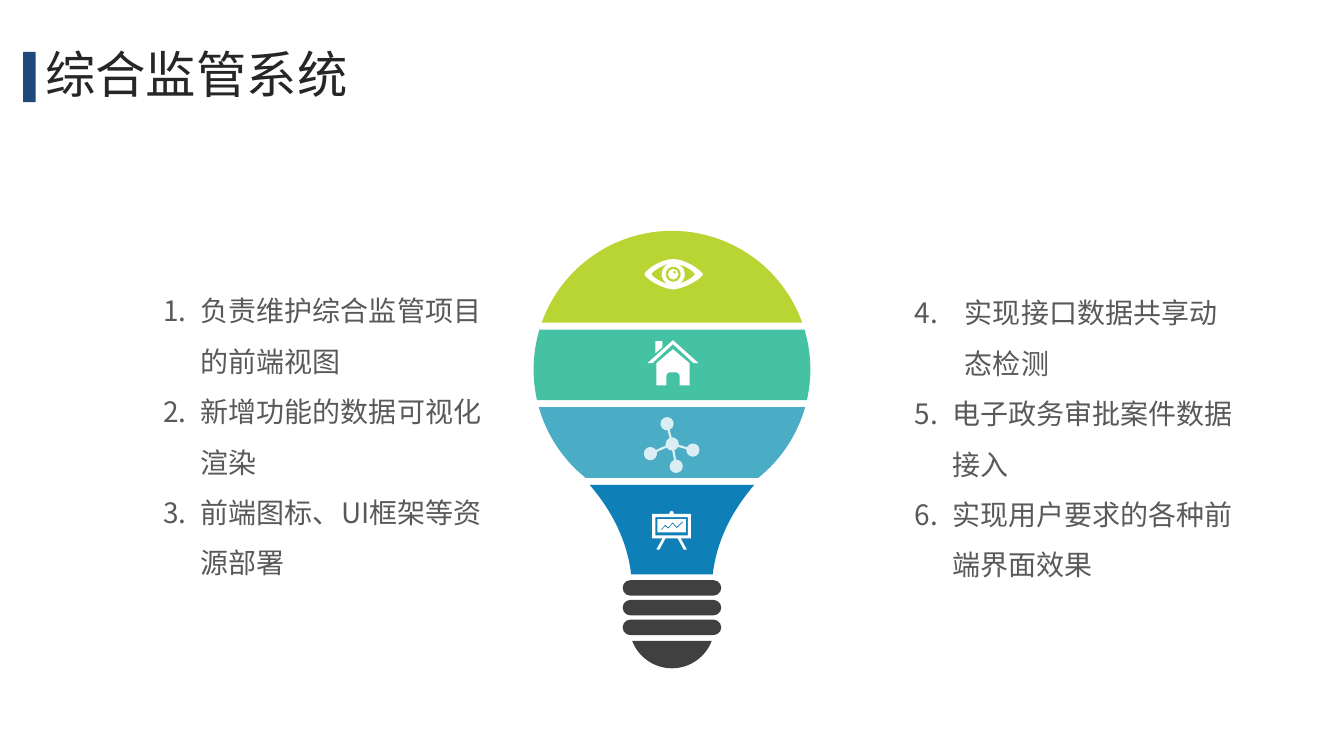
from dataclasses import dataclass
from math import asin, atan2, ceil, cos, floor, pi, sin, tan

from lxml.etree import SubElement
from pptx import Presentation
from pptx.dml.color import RGBColor
from pptx.enum.shapes import MSO_SHAPE as Preset
from pptx.enum.text import MSO_ANCHOR as Anchor
from pptx.oxml.ns import qn
from pptx.util import Inches, Pt

FONT = "Noto Sans CJK SC"
WHITE, NAVY, CHARCOAL, ICE = "FFFFFF", "1F497D", "404040", "DBEEF4"
LIME, MINT, SKY, BLUE = "B9D533", "45C1A4", "4BACC6", "0E7FB7"
LEFT_DUTIES = ["负责维护综合监管项目的前端视图", "新增功能的数据可视化渲染", "前端图标、UI框架等资源部署"]
RIGHT_DUTIES = ["实现接口数据共享动态检测", "电子政务审批案件数据接入", "实现用户要求的各种前端界面效果"]


@dataclass
class Box:
    """An area in inches, divided into columns and rows."""
    left: float
    top: float
    width: float
    height: float
    cols: float = 1
    rows: float = 1

    def point(self, col, row):
        """Return the slide position of a grid point."""
        return (Inches(self.left + self.width * col / self.cols),
                Inches(self.top + self.height * row / self.rows))

    def span(self, cols, rows):
        """Return the size of a number of columns and rows."""
        return Inches(self.width * cols / self.cols), Inches(self.height * rows / self.rows)

    def inner(self, col, row, width, height, cols, rows):
        """Return a part of this box with a grid of its own."""
        x, y = self.point(col, row)
        w, h = self.span(width, height)
        return Box(x.inches, y.inches, w.inches, h.inches, cols, rows)


def rgb(color):
    """Turn a hex string into a colour."""
    return RGBColor.from_string(color)


def paint(shape, color):
    """Give a shape a flat fill."""
    shape.shadow.inherit = False
    shape.fill.solid()
    shape.fill.fore_color.rgb = rgb(color)
    shape.line.fill.background()
    return shape


def block(slide, box, area, color, preset=Preset.RECTANGLE):
    """Place a preset shape on the grid of a box."""
    return paint(slide.shapes.add_shape(preset, *box.point(*area[:2]), *box.span(*area[2:])), color)


def outline(slide, box, color, *contours):
    """Draw contours whose steps are points, or triples of points for curves."""
    builder, bends = None, []
    for start, *steps in contours:
        if builder:
            builder.move_to(*box.point(*start))
        else:
            builder = slide.shapes.build_freeform(*box.point(*start), scale=1.0)
        for step in steps:
            bent = isinstance(step[0], tuple)
            points = step if bent else [step]
            builder.add_line_segments([box.point(*point) for point in points], close=False)
            bends += [bent, None, None] if bent else [False]
        builder.add_line_segments([box.point(*start)], close=True)
        bends.append(False)
    shape = paint(builder.convert_to_shape(), color)
    segments = list(shape._element.iter(qn("a:lnTo")))
    for i, bent in enumerate(bends):
        if bent:
            segments[i].tag = qn("a:cubicBezTo")
            for extra in segments[i + 1:i + 3]:
                segments[i].append(extra[0])
                extra.getparent().remove(extra)
    return shape


def mirror(points, axis):
    """Reflect points across a column, in reverse order."""
    return [(2 * axis - col, row) for col, row in reversed(points)]


def arc(center, radius, start, end):
    """Trace part of a circle, split at its extreme points."""
    def spot(angle, slope=0.0):
        return (center[0] + radius * (cos(angle) - slope * sin(angle)),
                center[1] + radius * (sin(angle) + slope * cos(angle)))
    quarter = pi / 2
    splits = [i * quarter for i in range(ceil(start / quarter), floor(end / quarter) + 1)]
    angles = [start] + [a for a in splits if start + 0.01 < a < end - 0.01] + [end]
    steps = [spot(start)]
    for a, b in zip(angles, angles[1:]):
        pull = 4 / 3 * tan((b - a) / 4)
        steps.append((spot(a, pull), spot(b, -pull), spot(b)))
    return steps


def circle(center, radius):
    """Trace a whole circle."""
    return arc(center, radius, 0, 2 * pi)


def rectangle(left, top, right, bottom):
    """Trace a rectangle."""
    return [(left, top), (right, top), (right, bottom), (left, bottom)]


def circle_slice(slide, box, center, radius, top, bottom, color):
    """Draw the part of a circle between two rows."""
    start, end = (asin(max(-1, min(1, (row - center[1]) / radius))) for row in (top, bottom))
    outline(slide, box, color, arc(center, radius, start, end) + arc(center, radius, pi - end, pi - start))


def write(slide, box, lines, size, color, spacing, before=0, indents=None, start=1, anchor=Anchor.TOP):
    """Write paragraphs, numbered when indents are given."""
    frame = slide.shapes.add_textbox(*box.point(0, 0), *box.span(box.cols, box.rows)).text_frame
    frame.word_wrap = True
    frame.vertical_anchor = anchor
    for i, line in enumerate(lines):
        paragraph = frame.add_paragraph() if i else frame.paragraphs[0]
        paragraph.line_spacing = spacing
        paragraph.space_before = Pt(before)
        run = paragraph.add_run()
        run.text = line
        run.font.size, run.font.name = Pt(size), FONT
        run.font.color.rgb = rgb(color)
        SubElement(run.font._element, qn("a:ea"), typeface=FONT)
        if indents:
            layout = paragraph._p.get_or_add_pPr()
            layout.set("marL", str(Pt(indents[i])))
            layout.set("indent", str(-Pt(indents[i])))
            SubElement(layout, qn("a:buFont"), typeface="+mj-lt")
            SubElement(layout, qn("a:buAutoNum"), type="arabicPeriod", startAt=str(start))


def header(slide, box):
    """Place the title and its bar."""
    write(slide, box.inner(12, 0, 1266, 79, 1, 1), ["综合监管系统"], 36, "262626", 0.9,
          before=10, anchor=Anchor.MIDDLE)
    block(slide, box, (0, 14.5, 12.5, 50), NAVY)


def duties(slide, box, lines, indents, start):
    """Place a numbered list of duties."""
    write(slide, box, lines, 20, "595959", 1.5, indents=indents, start=start)


def eye(slide, box):
    """Draw the eye."""
    lids = [(28.5, 0), ((41, 0), (56, 11), (58, 15)), ((57, 19), (41, 29), (28.5, 30)),
            ((15, 29), (0, 18), (0, 15)), ((0, 12), (15, 0), (28.5, 0))]
    left = [(26, 4), ((17, 6), (7, 13), (7, 15)), ((7, 17), (15, 22), (23, 25)),
            ((20, 23), (17, 19), (17, 15)), ((17, 10), (21, 5), (26, 4))]
    right = [(32, 5), ((37, 6), (40, 10), (40, 15)), ((40, 19), (38, 22), (35, 24)),
             ((42, 22), (50, 17), (50, 15)), ((49, 12), (40, 6), (32, 5))]
    rings = [circle((28.5, 15), 7.5), circle((28.5, 15), 5.2), circle((30, 13), 1.7)]
    outline(slide, box, WHITE, lids, left, right, *rings)


def house(slide, box):
    """Draw the house."""
    slope = [(0, 23), (25.5, 0), (25.5, 4), (5, 23)]
    chimney = [(8, 1), (15, 1), (15, 7), (8, 13)]
    wall = [(25.5, 9), (9, 23), (9, 45), (19, 45), (19, 35), (20, 33), (22, 32)]
    outline(slide, box, WHITE, wall + mirror(wall, 25.5), chimney, slope, mirror(slope, 25.5))


def network(slide, box):
    """Draw the linked nodes as one outline."""
    hub, radius, gap = (28, 26.5), 6.5, 0.17
    nodes = [(atan2(row - hub[1], col - hub[0]), (col, row))
             for col, row in ((23, 6.5), (48.5, 32.5), (32, 48.5), (6.5, 36))]
    nodes.sort()
    turns = [angle for angle, _ in nodes[1:]] + [nodes[0][0] + 2 * pi]
    trace = []
    for (angle, node), turn in zip(nodes, turns):
        trace += arc(node, radius, angle + pi + gap, angle + 3 * pi - gap)
        trace += arc(hub, radius, angle + gap, turn - gap)
    outline(slide, box, ICE, trace)


def chart_board(slide, box):
    """Draw the chart on its easel."""
    half = [(19, 0), (17, 1), (17, 3), (0, 3), (0, 27), (10, 27), (4, 38), (7, 38), (13, 27), (19, 27)]
    trend = [(9, 18), (12.5, 13.5), (16, 16), (20, 11), (24, 15.5), (30, 10)]
    ribbon = trend + [(col, row + 1.5) for col, row in reversed(trend)]
    outline(slide, box, WHITE, half + mirror(half, 19), rectangle(3, 6, 35, 24),
            rectangle(5, 8, 33, 21), ribbon)


def bulb(slide, box):
    """Draw the banded bulb with its icons."""
    middle = box.cols / 2
    for top, bottom, color in ((0, 13, LIME), (14, 24, MINT), (25, 35, SKY)):
        circle_slice(slide, box, (middle, 19.65), 19.65, top, bottom, color)
    neck = [(middle - 11.7, 36), (middle - 7.2, 41.2), (middle - 6.1, 46), (middle - 5.8, 48.7)]
    outline(slide, box, BLUE, *[[side[0], tuple(side[1:]), back[0], tuple(back[1:])]
                                for side, back in [(neck, mirror(neck, middle))]])
    for i in range(3):
        thread = block(slide, box, (middle - 7, 49.5 + 2.8 * i, 14, 2.2), CHARCOAL, Preset.ROUNDED_RECTANGLE)
        thread.adjustments[0] = 0.5
    circle_slice(slide, box, (middle, 55.95), 6.05, 58.1, 62, CHARCOAL)
    eye(slide, box.inner(15.7, 4, 8.3, 4.3, 58, 30))
    house(slide, box.inner(16.1, 15.5, 7.3, 6.4, 51, 45))
    network(slide, box.inner(15.6, 26.4, 7.9, 7.9, 55, 55))
    chart_board(slide, box.inner(16.8, 39.7, 5.5, 5.5, 38, 38))


def main():
    """Build the slide and save it."""
    deck = Presentation()
    deck.slide_width, deck.slide_height = Inches(13.34), Inches(7.5)
    slide = deck.slides.add_slide(deck.slide_layouts[6])
    header(slide, Box(0.23, 0.37, 12.78, 0.79, 1278, 79))
    bulb(slide, Box(5.3, 2.29, 2.74, 4.34, 39.2, 62))
    duties(slide, Box(8.98, 2.72, 3.37, 3.13), RIGHT_DUTIES, (36, 27, 27), 4)
    duties(slide, Box(1.52, 2.7, 3.57, 3.13), LEFT_DUTIES, (27, 27, 27), 1)
    deck.save("out.pptx")


if __name__ == "__main__":
    main()
